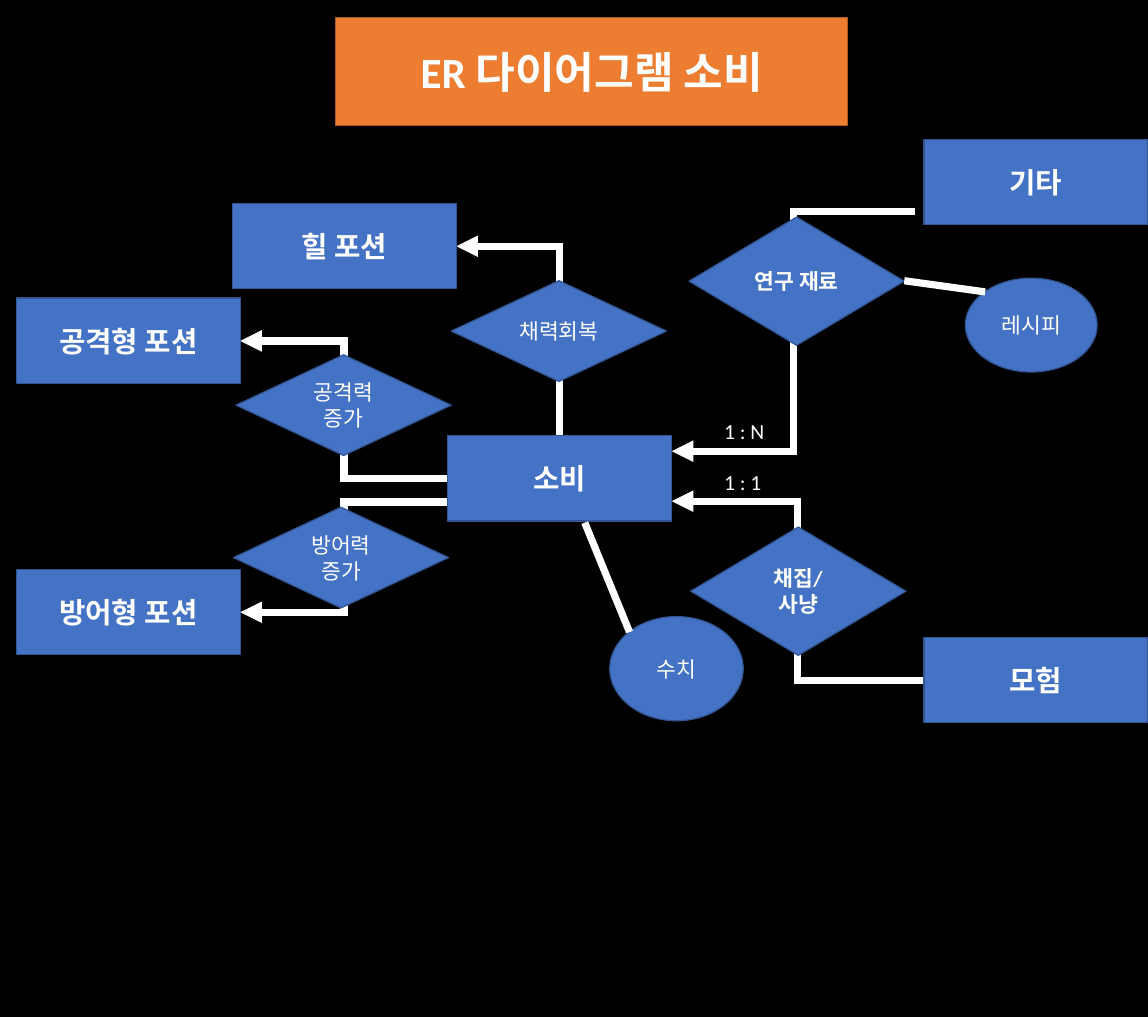
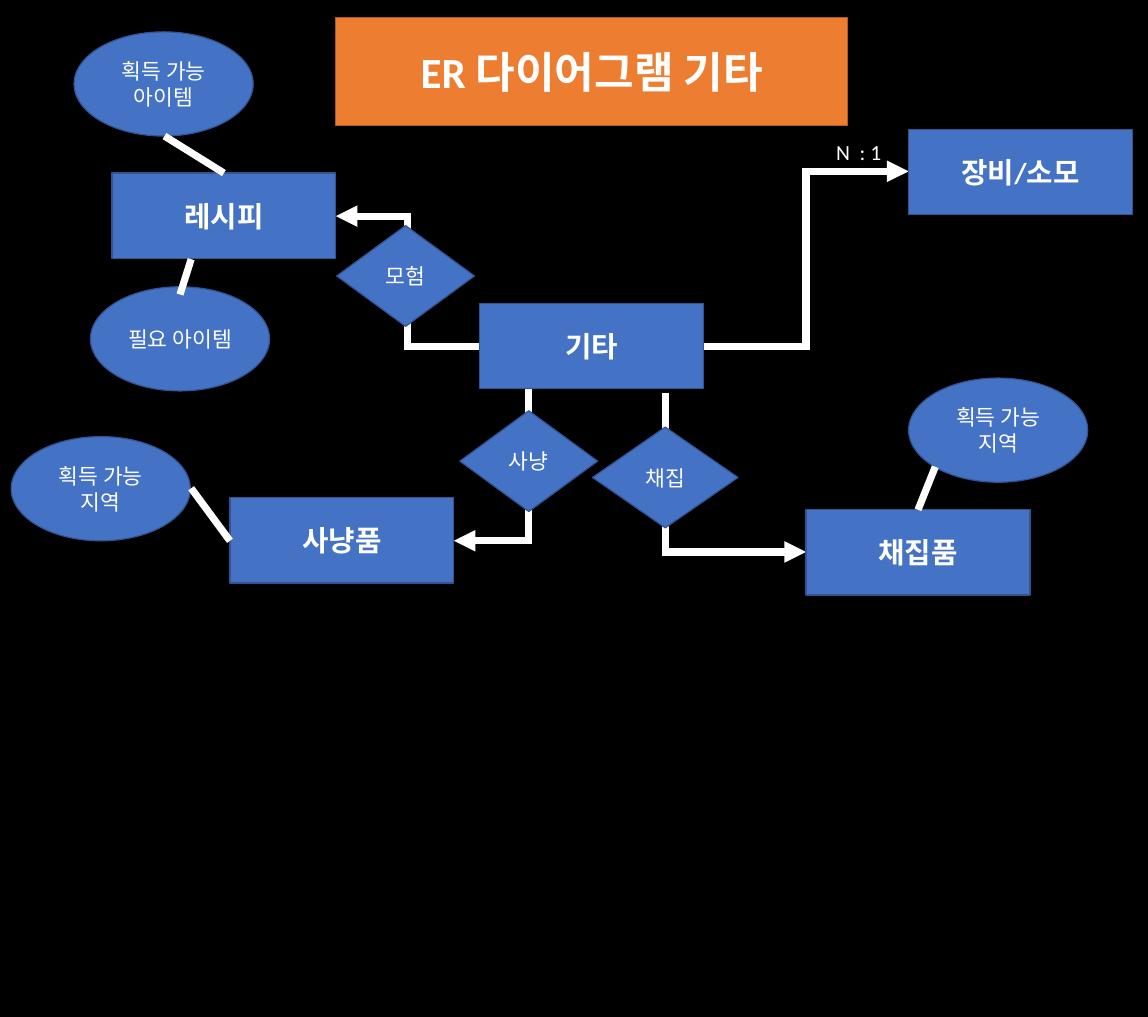
"""Build two entity-relationship diagram slides for game items."""
import lxml.etree
import pptx
import pptx.dml.color
import pptx.enum.shapes
import pptx.enum.text
import pptx.oxml.ns
import pptx.util

Inches = pptx.util.Inches
COLORS = {
    "background": "000000",
    "title": "ED7D31",
    "title_edge": "AF5C24",
    "node": "4472C4",
    "node_edge": "325491",
    "light": "FFFFFF",
}
RGB = {name: pptx.dml.color.RGBColor.from_string(value) for name, value in COLORS.items()}
FONT = "Calibri"
SHAPES = pptx.enum.shapes.MSO_SHAPE
CONNECTORS = pptx.enum.shapes.MSO_CONNECTOR
CENTER = pptx.enum.text.PP_ALIGN.CENTER
LEFT = pptx.enum.text.PP_ALIGN.LEFT
MIDDLE = pptx.enum.text.MSO_ANCHOR.MIDDLE
TOP = pptx.enum.text.MSO_ANCHOR.TOP

KINDS = {
    "entity": {"preset": SHAPES.RECTANGLE, "size": 24, "bold": True},
    "relation": {"preset": SHAPES.FLOWCHART_DECISION, "size": 18, "bold": False},
    "main relation": {"preset": SHAPES.FLOWCHART_DECISION, "size": 18, "bold": True},
    "attribute": {"preset": SHAPES.OVAL, "size": 18, "bold": False},
}
ENTITY = (2.6, 0.99)
WIDE_DIAMOND = (2.5, 1.17)
TALL_DIAMOND = (2.5, 1.49)
SMALL_DIAMOND = (1.6, 1.17)
WIDE_OVAL = (2.08, 1.21)

DIAGRAMS = [
    {
        "title": "ER 다이어그램 소비",
        "nodes": [
            ("entity", "소비", 5.2, 5.06, ENTITY),
            ("entity", "기타", 10.73, 1.62, ENTITY),
            ("entity", "모험", 10.73, 7.4, ENTITY),
            ("entity", "힐 포션", 2.7, 2.36, ENTITY),
            ("entity", "공격형 포션", 0.19, 3.46, ENTITY),
            ("entity", "방어형 포션", 0.19, 6.61, ENTITY),
            ("main relation", "연구 재료", 8, 2.52, TALL_DIAMOND),
            ("main relation", "채집/\n사냥", 8.02, 6.12, TALL_DIAMOND),
            ("relation", "채력회복", 5.24, 3.26, WIDE_DIAMOND),
            ("relation", "공격력 증가", 2.74, 4.12, WIDE_DIAMOND),
            ("relation", "방어력 증가", 2.71, 5.89, WIDE_DIAMOND),
            ("attribute", "레시피", 11.21, 3.23, (1.53, 1.09)),
            ("attribute", "수치", 7.08, 7.16, (1.55, 1.21)),
        ],
        "arrows": [
            ("bentConnector3", 7.8, 5.24, 10.62, 2.46),
            ("bentConnector3", 7.8, 5.82, 10.73, 7.9),
            ("bentConnector2", 5.3, 2.86, 6.5, 5.06),
            ("bentConnector3", 2.79, 3.96, 5.2, 5.56),
            ("bentConnector3", 2.79, 7.11, 5.2, 5.83),
        ],
        "links": [(10.5, 3.26, 11.44, 3.39), (6.79, 6.07, 7.31, 7.34)],
        "labels": [("1 : N", 8.31, 4.8, 0.68), ("1 : 1", 8.31, 5.4, 0.64)],
    },
    {
        "title": "ER 다이어그램 기타",
        "nodes": [
            ("entity", "기타", 5.57, 3.52, ENTITY),
            ("entity", "장비/소모", 10.55, 1.5, ENTITY),
            ("entity", "채집품", 9.36, 5.92, ENTITY),
            ("entity", "사냥품", 2.67, 5.78, ENTITY),
            ("entity", "레시피", 1.3, 2.01, ENTITY),
            ("relation", "채집", 6.88, 4.96, (1.69, 1.17)),
            ("relation", "사냥", 5.34, 4.77, SMALL_DIAMOND),
            ("relation", "모험", 3.91, 2.62, SMALL_DIAMOND),
            ("attribute", "획득 가능 지역", 10.55, 4.39, WIDE_OVAL),
            ("attribute", "획득 가능 지역", 0.13, 5.07, WIDE_OVAL),
            ("attribute", "획득 가능 아이템", 0.86, 0.37, WIDE_OVAL),
            ("attribute", "필요 아이템", 1.05, 3.33, WIDE_OVAL),
        ],
        "arrows": [
            ("bentConnector3", 10.55, 1.99, 8.17, 4.02),
            ("bentConnector2", 9.36, 6.41, 7.73, 4.56),
            ("bentConnector2", 5.27, 6.28, 6.14, 4.52),
            ("bentConnector3", 3.9, 2.51, 5.57, 4.02),
        ],
        "links": [
            (10.66, 5.92, 10.86, 5.42),
            (2.67, 6.28, 2.22, 5.67),
            (2.6, 2.01, 1.91, 1.58),
            (2.22, 3.01, 2.09, 3.42),
        ],
        "labels": [("N  : 1", 9.61, 1.57, 0.94)],
    },
]


def write_text(shape, text, size=18, bold=False, align=CENTER, anchor=MIDDLE, wrap=True):
    frame = shape.text_frame
    frame.text = text
    frame.word_wrap = wrap
    frame.auto_size = pptx.enum.text.MSO_AUTO_SIZE.NONE
    frame.vertical_anchor = anchor
    for paragraph in frame.paragraphs:
        paragraph.alignment = align
        font = paragraph.runs[0].font
        font.name = FONT
        font.size = pptx.util.Pt(size)
        font.bold = bold
        font.color.rgb = RGB["light"]


def add_line(slide, points, bend=None):
    kind = CONNECTORS.ELBOW if bend else CONNECTORS.STRAIGHT
    connector = slide.shapes.add_connector(kind, *map(Inches, points))
    connector.line.color.rgb = RGB["light"]
    connector.line.width = pptx.util.Pt(6)
    properties = connector.element.spPr
    lxml.etree.SubElement(properties, pptx.oxml.ns.qn("a:effectLst"))
    if bend:
        properties.find(pptx.oxml.ns.qn("a:prstGeom")).set("prst", bend)
        outline = properties.find(pptx.oxml.ns.qn("a:ln"))
        lxml.etree.SubElement(outline, pptx.oxml.ns.qn("a:miter"), lim="800000")
        lxml.etree.SubElement(outline, pptx.oxml.ns.qn("a:headEnd"), type="triangle")


presentation = pptx.Presentation()
presentation.slide_width = Inches(13.33)
presentation.slide_height = Inches(11.81)
background = presentation.slide_master.background.fill
background.solid()
background.fore_color.rgb = RGB["background"]
title_layout = presentation.slide_layouts.get_by_name("Title Only")

for diagram in DIAGRAMS:
    slide = presentation.slides.add_slide(title_layout)
    title = slide.shapes.title
    title.left, title.top, title.width, title.height = map(Inches, (3.9, 0.2, 5.94, 1.26))
    title.fill.solid()
    title.fill.fore_color.rgb = RGB["title"]
    title.line.color.rgb = RGB["title_edge"]
    title.line.width = pptx.util.Pt(1)
    write_text(title, diagram["title"], size=36, bold=True)

    for bend, *points in diagram["arrows"]:
        add_line(slide, points, bend)

    for kind, text, left, top, extent in diagram["nodes"]:
        style = KINDS[kind]
        shape = slide.shapes.add_shape(style["preset"], *map(Inches, (left, top, *extent)))
        shape.shadow.inherit = False
        shape.fill.solid()
        shape.fill.fore_color.rgb = RGB["node"]
        shape.line.color.rgb = RGB["node_edge"]
        shape.line.width = pptx.util.Pt(1)
        write_text(shape, text, size=style["size"], bold=style["bold"])

    for points in diagram["links"]:
        add_line(slide, points)

    for text, left, top, width in diagram["labels"]:
        label = slide.shapes.add_textbox(*map(Inches, (left, top, width, 0.4)))
        write_text(label, text, align=LEFT, anchor=TOP, wrap=False)

presentation.save("out.pptx")
